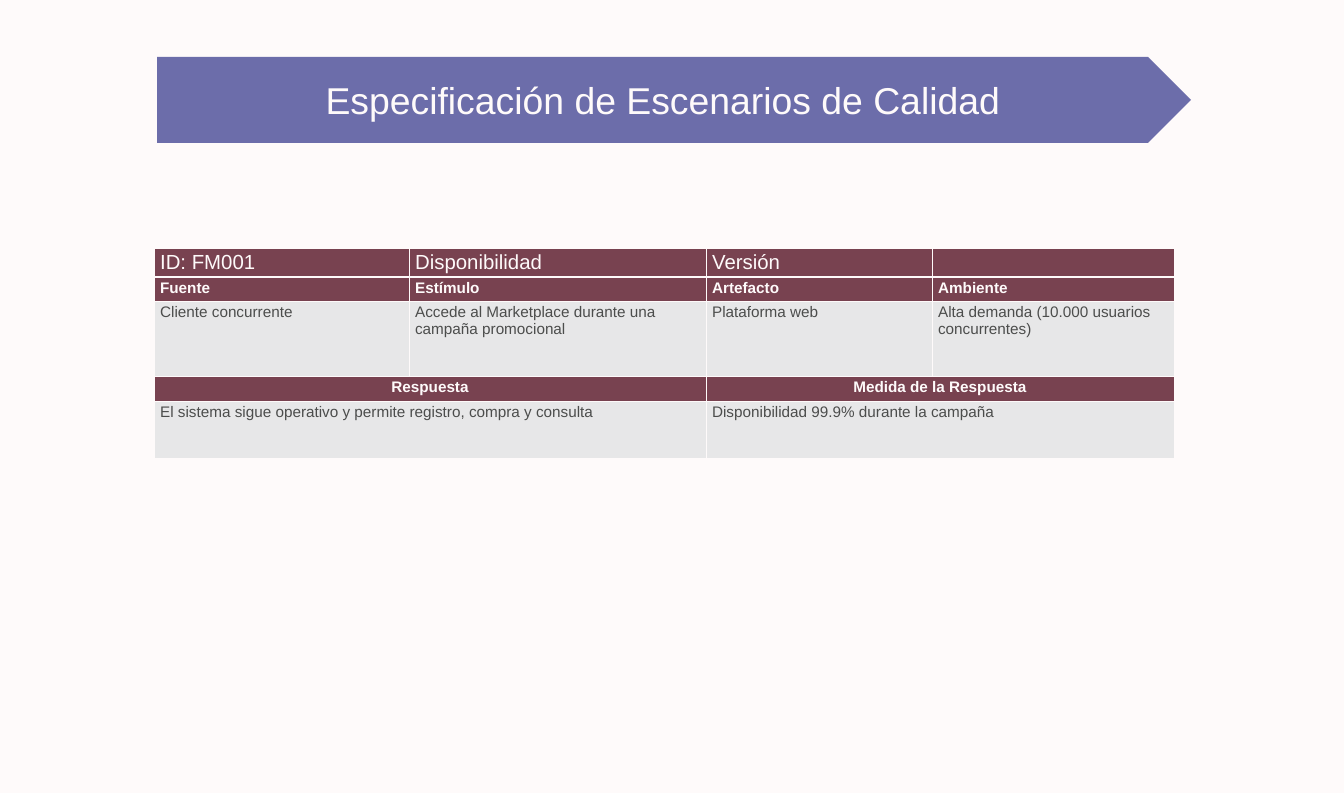
"""Build the slide with the quality scenario table."""
from lxml.etree import SubElement
from pptx import Presentation
from pptx.dml.color import RGBColor as RGB
from pptx.enum.shapes import MSO_SHAPE as SHAPE
from pptx.enum.text import MSO_ANCHOR as ANCHOR, PP_ALIGN as ALIGN
from pptx.oxml import parse_xml
from pptx.oxml.ns import nsdecls, qn
from pptx.util import Pt

PX = 14961
COLORS = {"back": "FEFAFA", "banner": "252884", "head": "784250",
          "body": "E7E7E8", "ink": "4C4D4C"}
FORMATS = {
    "title": {"size": Pt(44), "bold": False, "color": "back"},
    "id": {"size": Pt(24), "bold": False, "color": "back"},
    "head": {"size": Pt(18), "bold": True, "color": "back"},
    "body": {"size": Pt(18), "bold": False, "color": "ink"},
}
COLUMNS = [255, 297, 226, 242]
ROWS = [
    (29, "id", ["ID: FM001", "Disponibilidad", "Versión", ""]),
    (24, "head", ["Fuente", "Estímulo", "Artefacto", "Ambiente"]),
    (75, "body", ["Cliente concurrente",
                  "Accede al Marketplace durante una campaña promocional",
                  "Plataforma web",
                  "Alta demanda (10.000 usuarios concurrentes)"]),
    (25, "head", ["Respuesta", "Medida de la Respuesta"]),
    (57, "body", ["El sistema sigue operativo y permite registro, compra y consulta",
                  "Disponibilidad 99.9% durante la campaña"]),
]


class Deck:
    def __init__(self, width, height):
        self.prs = Presentation()
        self.prs.slide_width, self.prs.slide_height = width * PX, height * PX
        self.s = self.prs.slides.add_slide(self.prs.slide_layouts[6])
        self.paint(self.s.background.fill, "back")

    def paint(self, fill, color):
        fill.solid()
        fill.fore_color.rgb = RGB.from_string(COLORS[color])

    def text(self, tf, text, style, align=ALIGN.LEFT):
        p = tf.paragraphs[0]
        p.alignment = align
        if not text:
            return
        r = p.add_run()
        r.text = text
        r.font.name = "Arial"
        for name, value in FORMATS[style].items():
            if name == "color":
                r.font.color.rgb = RGB.from_string(COLORS[value])
            else:
                setattr(r.font, name, value)

    def banner(self, x, y, w, h, text, opacity):
        sp = self.s.shapes.add_shape(SHAPE.PENTAGON, x * PX, y * PX, w * PX, h * PX)
        sp.shadow.inherit = False
        sp.line.fill.background()
        self.paint(sp.fill, "banner")
        color = sp.element.spPr.find(qn("a:solidFill"))[0]
        SubElement(color, qn("a:alpha"), val=str(opacity * 1000))
        sp.text_frame.vertical_anchor = ANCHOR.MIDDLE
        self.text(sp.text_frame, text, "title", ALIGN.CENTER)

    def borders(self, cell, top, bottom):
        tcPr = cell._tc.get_or_add_tcPr()
        widths = {"L": 1, "R": 1, "T": top, "B": bottom}
        for i, (side, width) in enumerate(widths.items()):
            tcPr.insert(i, parse_xml(
                f'<a:ln{side} {nsdecls("a")} w="{Pt(width)}"><a:solidFill>'
                f'<a:srgbClr val="{COLORS["back"]}"/></a:solidFill></a:ln{side}>'))

    def table(self, x, y, columns, rows):
        height = sum(row[0] for row in rows)
        table = self.s.shapes.add_table(len(rows), len(columns), x * PX, y * PX,
                                        sum(columns) * PX, height * PX).table
        for column, width in zip(table.columns, columns):
            column.width = width * PX
        for i, (height, style, texts) in enumerate(rows):
            table.rows[i].height = height * PX
            span = len(columns) // len(texts)
            centered = span > 1 and style == "head"
            for j in range(len(columns)):
                cell = table.cell(i, j)
                self.paint(cell.fill, "body" if style == "body" else "head")
                self.borders(cell, 3 if i == 1 else 1, 3 if i == 0 else 1)
            for j, text in enumerate(texts):
                cell = table.cell(i, j * span)
                if span > 1:
                    cell.merge(table.cell(i, (j + 1) * span - 1))
                self.text(cell.text_frame, text, style,
                          ALIGN.CENTER if centered else ALIGN.LEFT)


def main():
    deck = Deck(1344, 793)
    deck.banner(157, 57, 1034, 86, "Especificación de Escenarios de Calidad", 67)
    deck.table(154, 248, COLUMNS, ROWS)
    deck.prs.save("out.pptx")


if __name__ == "__main__":
    main()
